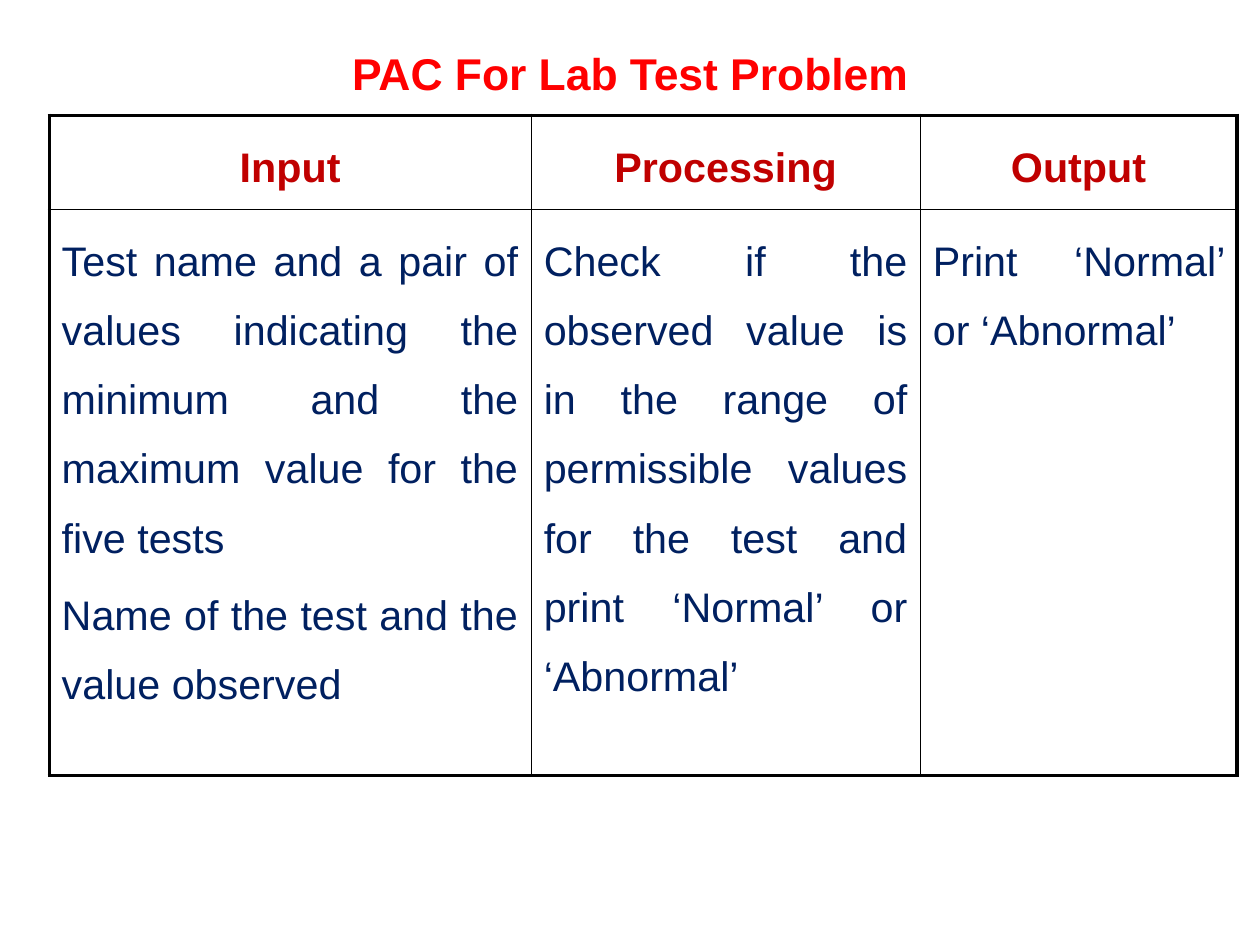
import pptx
import pptx.util
import pptx.dml.color
import pptx.enum.text
import pptx.oxml.ns
import lxml.etree

Pt = pptx.util.Pt
ALIGN = pptx.enum.text.PP_ALIGN
ANCHOR = pptx.enum.text.MSO_ANCHOR

SLIDE_WIDTH, SLIDE_HEIGHT = 793.75, 595.25
TITLE = "PAC For Lab Test Problem"
# heading, column width, paragraphs
COLUMNS = [
    ("Input", 303.7, [
        "Test name and a pair of values indicating the minimum and the "
        "maximum value for the five tests",
        "Name of the test and the value observed",
    ]),
    ("Processing", 245.1, [
        "Check if the observed value is in the range of permissible values "
        "for the test and print ‘Normal’ or ‘Abnormal’",
    ]),
    ("Output", 199.5, ["Print ‘Normal’ or ‘Abnormal’"]),
]
ROW_HEIGHTS = [59.4, 356.4]
TABLE_LEFT, TABLE_TOP = 31, 72.5
INSET_X, INSET_Y = 7.9, 4.2
OUTER_LINE, INNER_LINE = 2.25, 1


def rgb(hex_color):
    return pptx.dml.color.RGBColor.from_string(hex_color)


def write(frame, paragraphs, size, color, bold=False, align=ALIGN.CENTER,
          line_spacing=1.0, gap=0):
    """Fill a text frame; gap is the space between its paragraphs."""
    for index, text in enumerate(paragraphs):
        paragraph = frame.add_paragraph() if index else frame.paragraphs[0]
        paragraph.alignment = align
        paragraph.line_spacing = line_spacing
        paragraph.space_before = Pt(gap if index else 0)
        run = paragraph.add_run()
        run.text = text
        run.font.name = "Arial"
        run.font.size = Pt(size)
        run.font.bold = bold
        run.font.color.rgb = rgb(color)


def add_border(cell, side, width, color="000000"):
    qn = pptx.oxml.ns.qn
    line = lxml.etree.SubElement(cell._tc.get_or_add_tcPr(), qn("a:ln" + side),
                                 w=str(int(Pt(width))))
    fill = lxml.etree.SubElement(line, qn("a:solidFill"))
    lxml.etree.SubElement(fill, qn("a:srgbClr"), val=color)


def format_cell(cell, row, column):
    cell.margin_left = cell.margin_right = Pt(INSET_X)
    cell.margin_top = cell.margin_bottom = Pt(INSET_Y)
    outer_sides = {
        "L": column == 0,
        "R": column == len(COLUMNS) - 1,
        "T": row == 0,
        "B": row == len(ROW_HEIGHTS) - 1,
    }
    for side, outer in outer_sides.items():
        add_border(cell, side, OUTER_LINE if outer else INNER_LINE)
    cell.fill.background()


def add_pac_table(slide):
    widths = [width for _, width, _ in COLUMNS]
    table = slide.shapes.add_table(
        len(ROW_HEIGHTS), len(COLUMNS), Pt(TABLE_LEFT), Pt(TABLE_TOP),
        Pt(sum(widths)), Pt(sum(ROW_HEIGHTS))).table
    table.first_row = table.horz_banding = False
    for row, height in zip(table.rows, ROW_HEIGHTS):
        row.height = Pt(height)
    for column, (heading, width, details) in enumerate(COLUMNS):
        table.columns[column].width = Pt(width)
        head, body = table.cell(0, column), table.cell(1, column)
        format_cell(head, 0, column)
        format_cell(body, 1, column)
        write(head.text_frame, [heading], 26, "C00000", bold=True,
              line_spacing=1.5)
        write(body.text_frame, details, 26, "002060", align=ALIGN.JUSTIFY,
              line_spacing=1.5, gap=5.2)


def main():
    deck = pptx.Presentation()
    deck.slide_width, deck.slide_height = Pt(SLIDE_WIDTH), Pt(SLIDE_HEIGHT)
    slide = deck.slides.add_slide(deck.slide_layouts[5])

    title = slide.shapes.title
    title.left, title.top = Pt(26.4), Pt(13)
    title.width, title.height = Pt(741), Pt(65)
    frame = title.text_frame
    frame.margin_left = frame.margin_right = 0
    frame.margin_top = frame.margin_bottom = 0
    frame.vertical_anchor = ANCHOR.MIDDLE
    frame.word_wrap = True
    write(frame, [TITLE], 28, "FF0000", bold=True)

    add_pac_table(slide)
    deck.save("out.pptx")


if __name__ == "__main__":
    main()
